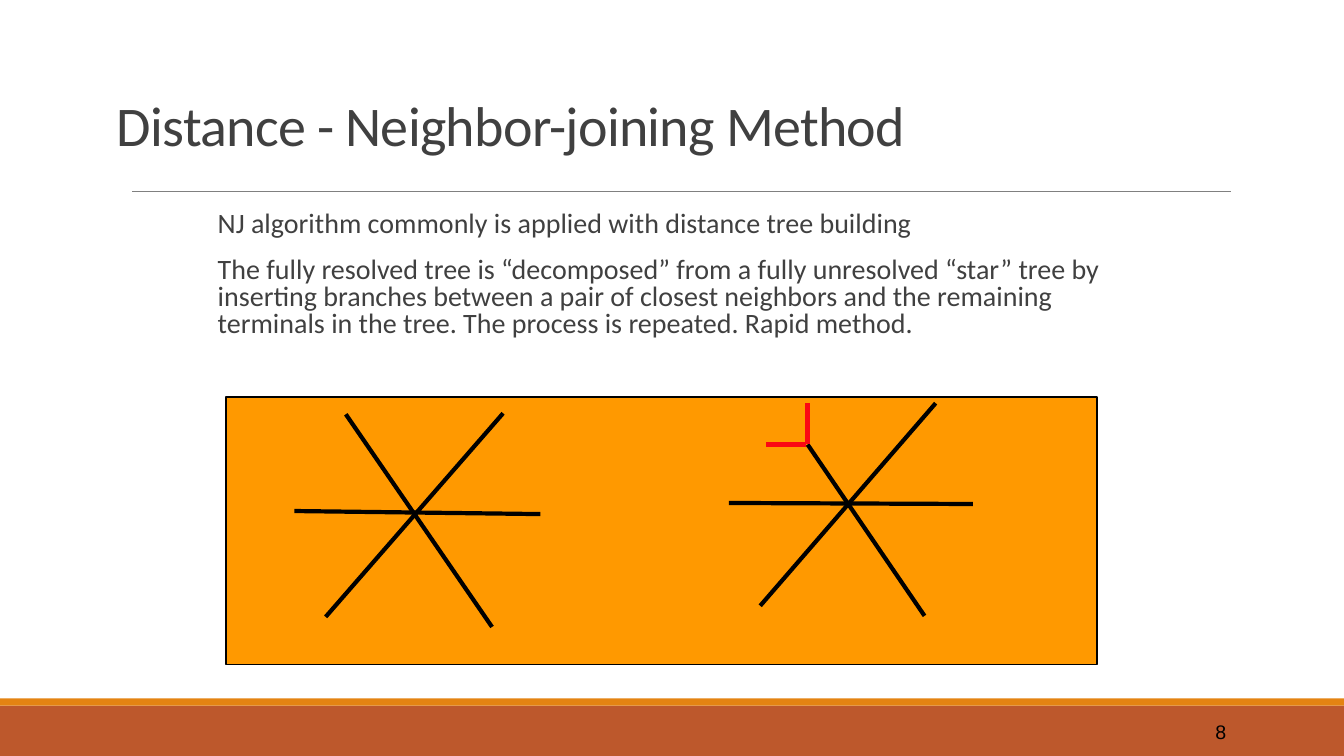
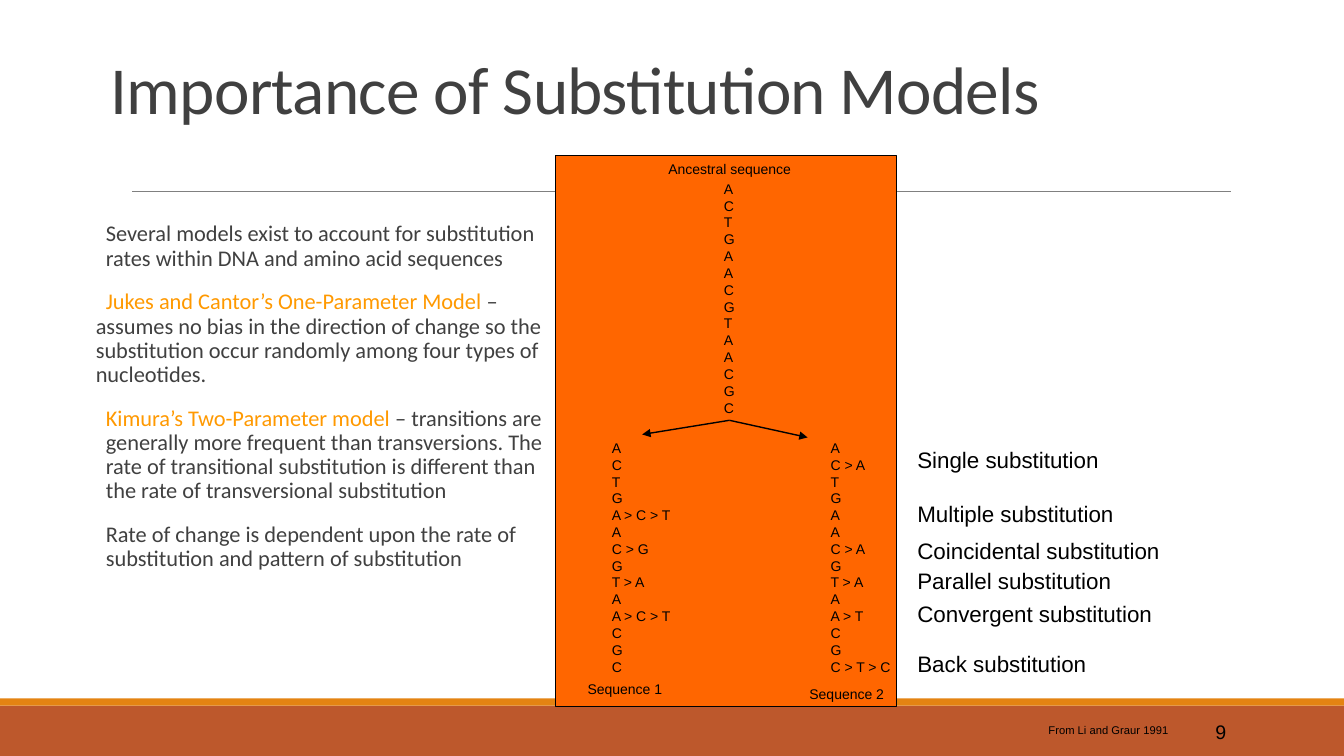
from dataclasses import dataclass

from lxml import etree
from pptx import Presentation
from pptx import util as u
from pptx.dml.color import RGBColor
from pptx.enum import shapes, text
from pptx.oxml import ns


@dataclass(frozen=True)
class Theme:
    heading_font: str = "Calibri"
    label_font: str = "Arial"
    ink: str = "404040"
    black: str = "000000"
    rule: str = "808080"
    footer: str = "BD582C"
    stripe: str = "E48312"
    accent: str = "FF9900"
    panel: str = "FF6600"
    joined: str = "FB0713"
    label_size: int = 16
    number_size: int = 14
    sequence_size: int = 10
    source_size: int = 8
    outline: float = 1
    branch: float = 3
    hairline: float = 0.5


class Deck:
    COLUMNS, ROWS = 13.33, 7.5
    MODULE = u.Inches(1)

    def __init__(self, theme):
        self.theme = theme
        self.presentation = Presentation()
        self.presentation.slide_width = self.grid(self.COLUMNS)
        self.presentation.slide_height = self.grid(self.ROWS)
        self.slide = None

    def grid(self, count):
        return u.Emu(round(count * self.MODULE))

    def new_slide(self, number):
        layout = self.presentation.slide_layouts[6]
        self.slide = self.presentation.slides.add_slide(layout)
        self.rectangle((0, 7, self.COLUMNS, 0.5), self.theme.footer)
        self.rectangle((0, 6.93, self.COLUMNS, 0.07), self.theme.stripe)
        self.line((1.31, 1.9), (12.21, 1.9), self.theme.rule, self.theme.hairline)
        self.label((10.83, 7.06, 1.43, 0.4), str(number), self.theme.number_size,
                   wrap=True, anchor=text.MSO_ANCHOR.MIDDLE, align=text.PP_ALIGN.RIGHT)

    def rectangle(self, box, fill, outlined=False):
        shape = self.slide.shapes.add_shape(
            shapes.MSO_SHAPE.RECTANGLE, *map(self.grid, box))
        shape.shadow.inherit = False
        shape.fill.solid()
        shape.fill.fore_color.rgb = RGBColor.from_string(fill)
        if outlined:
            shape.line.color.rgb = RGBColor.from_string(self.theme.black)
            shape.line.width = u.Pt(self.theme.outline)
        else:
            shape.line.fill.background()
        return shape

    def line(self, start, end, color, width, arrow=False):
        connector = self.slide.shapes.add_connector(
            shapes.MSO_CONNECTOR.STRAIGHT, *map(self.grid, (*start, *end)))
        connector.line.color.rgb = RGBColor.from_string(color)
        connector.line.width = u.Pt(width)
        properties = connector.element.spPr
        if arrow:
            etree.SubElement(properties.find(ns.qn("a:ln")), ns.qn("a:tailEnd"),
                             type="triangle")
        etree.SubElement(properties, ns.qn("a:effectLst"))
        return connector

    def branches(self, ends, color):
        for start, end in ends:
            self.line(start, end, color, self.theme.branch)

    def text_box(self, box, wrap=True, anchor=text.MSO_ANCHOR.TOP):
        shape = self.slide.shapes.add_textbox(*map(self.grid, box))
        shape.text_frame.word_wrap = wrap
        shape.text_frame.vertical_anchor = anchor
        return shape

    def style(self, run, font, size, color):
        run.font.name = font
        run.font.size = u.Pt(size)
        run.font.color.rgb = RGBColor.from_string(color)

    def title(self, box, wording, size):
        shape = self.text_box(box, anchor=text.MSO_ANCHOR.BOTTOM)
        shape.text_frame.text = wording
        paragraph = shape.text_frame.paragraphs[0]
        paragraph.line_spacing = 0.85
        run = paragraph.runs[0]
        self.style(run, self.theme.heading_font, size, self.theme.ink)
        run.font._element.set("spc", "-50")

    def body(self, box, entries, size, line_spacing):
        frame = self.text_box(box).text_frame
        frame.margin_left = frame.margin_right = 0
        for index, (indent, lead, wording) in enumerate(entries):
            paragraph = frame.add_paragraph() if index else frame.paragraphs[0]
            paragraph.line_spacing = line_spacing
            paragraph.space_before = u.Pt(12 if index else 0)
            paragraph.space_after = u.Pt(2)
            paragraph._p.get_or_add_pPr().set(indent, str(self.grid(0.1)))
            for part, color in ((lead, self.theme.accent), (wording, self.theme.ink)):
                if part:
                    run = paragraph.add_run()
                    run.text = part
                    self.style(run, self.theme.heading_font, size, color)

    def label(self, box, wording, size, wrap=False, anchor=text.MSO_ANCHOR.TOP,
              align=text.PP_ALIGN.LEFT):
        shape = self.text_box(box, wrap, anchor)
        if not wrap:
            shape.text_frame.auto_size = text.MSO_AUTO_SIZE.SHAPE_TO_FIT_TEXT
        shape.text_frame.text = wording
        for paragraph in shape.text_frame.paragraphs:
            paragraph.alignment = align
            for run in paragraph.runs:
                self.style(run, self.theme.label_font, size, self.theme.black)
        return shape

    def sequence(self, box, bases, changes):
        sites = [changes.get(site, base) for site, base in enumerate(bases)]
        return self.label(box, "\n".join(sites), self.theme.sequence_size)


def neighbor_joining(deck):
    theme = deck.theme
    deck.new_slide(8)
    deck.title((1.06, 0.03, 11, 1.59), "Distance - Neighbor-joining Method", 40)
    deck.body((2.06, 2.05, 9, 2.03), [
        ("marL", "", "NJ algorithm commonly is applied with distance tree building"),
        ("marL", "", "The fully resolved tree is “decomposed” from a fully unresolved "
         "“star” tree by inserting branches between a pair of closest neighbors and the "
         "remaining terminals in the tree. The process is repeated. Rapid method."),
    ], 20, 0.8)
    deck.rectangle((2.24, 3.94, 8.64, 2.65), theme.accent, outlined=True)
    star = [((3.43, 4.11), (4.88, 6.22)), ((3.23, 6.12), (4.99, 4.1)),
            ((2.92, 5.07), (5.36, 5.1))]
    resolved = [((8.01, 4.41), (9.17, 6.11)), ((7.54, 6.01), (9.28, 4)),
                ((7.23, 4.99), (9.65, 5))]
    neighbors = [((8.01, 4.4), (8.01, 4)), ((7.99, 4.41), (7.6, 4.41))]
    deck.branches(star + resolved, theme.black)
    deck.branches(neighbors, theme.joined)


def substitution_models(deck):
    theme = deck.theme
    deck.new_slide(9)
    deck.title((1, 0.05, 11.33, 1.27), "Importance of Substitution Models", 48)
    deck.body((0.95, 2.16, 4.49, 4.7), [
        ("marL", "", "Several models exist to account for substitution rates within DNA "
         "and amino acid sequences"),
        ("indent", "Jukes and Cantor’s One-Parameter Model",
         " – assumes no bias in the direction of change so the substitution occur "
         "randomly among four types of nucleotides."),
        ("marL", "Kimura’s Two-Parameter model",
         " – transitions are generally more frequent than transversions. The rate of "
         "transitional substitution is different than the rate of transversional "
         "substitution"),
        ("marL", "", "Rate of change is dependent upon the rate of substitution and "
         "pattern of substitution"),
    ], 16, 0.9)

    deck.rectangle((5.51, 1.54, 3.38, 5.47), theme.panel, outlined=True)
    bases = "ACTGAACGTAACGC"
    ancestor = deck.sequence((7.08, 1.74, 0.31, 2.43), bases, {})
    first = deck.sequence((5.97, 4.31, 0.8, 2.43), bases, {
        4: "A > C > T", 6: "C > G", 8: "T > A", 10: "A > C > T"})
    deck.sequence((8.14, 4.31, 0.8, 2.43), bases, {
        1: "C > A", 6: "C > A", 8: "T > A", 10: "A > T", 13: "C > T > C"})
    for tip in ((6.38, 4.31), (8.01, 4.34)):
        arrow = deck.line((7.23, 4.18), tip, theme.black, theme.outline, arrow=True)
        arrow.begin_connect(ancestor, 2)
        if tip[0] < 7.23:
            arrow.end_connect(first, 0)

    for left, top, width, caption in (
            (5.73, 6.7, 0.96, "Sequence 1"),
            (7.93, 6.75, 0.96, "Sequence 2"),
            (6.53, 1.54, 1.55, "Ancestral sequence")):
        deck.label((left, top, width, 0.27), caption, theme.sequence_size, wrap=True)
    for top, width, kind in (
            (4.38, 2, "Single"), (4.91, 2.15, "Multiple"), (5.28, 2.61, "Coincidental"),
            (5.58, 2.12, "Parallel"), (5.9, 2.53, "Convergent"), (6.4, 1.88, "Back")):
        deck.label((9, top, width, 0.37), f"{kind} substitution", theme.label_size)
    deck.label((10.3, 7.13, 1.39, 0.23), "From Li and Graur 1991", theme.source_size)


def main():
    deck = Deck(Theme())
    neighbor_joining(deck)
    substitution_models(deck)
    deck.presentation.save("out.pptx")


if __name__ == "__main__":
    main()
